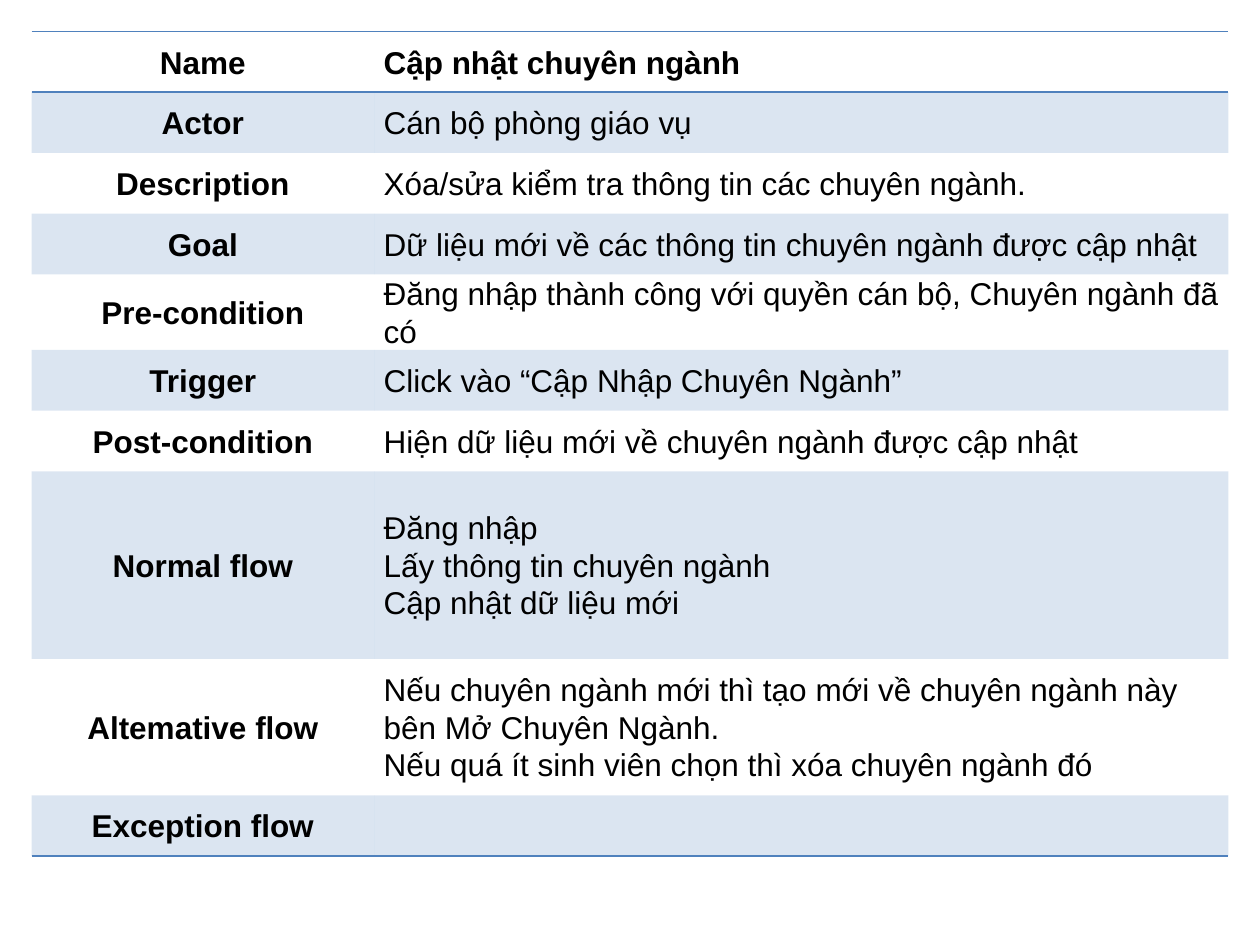
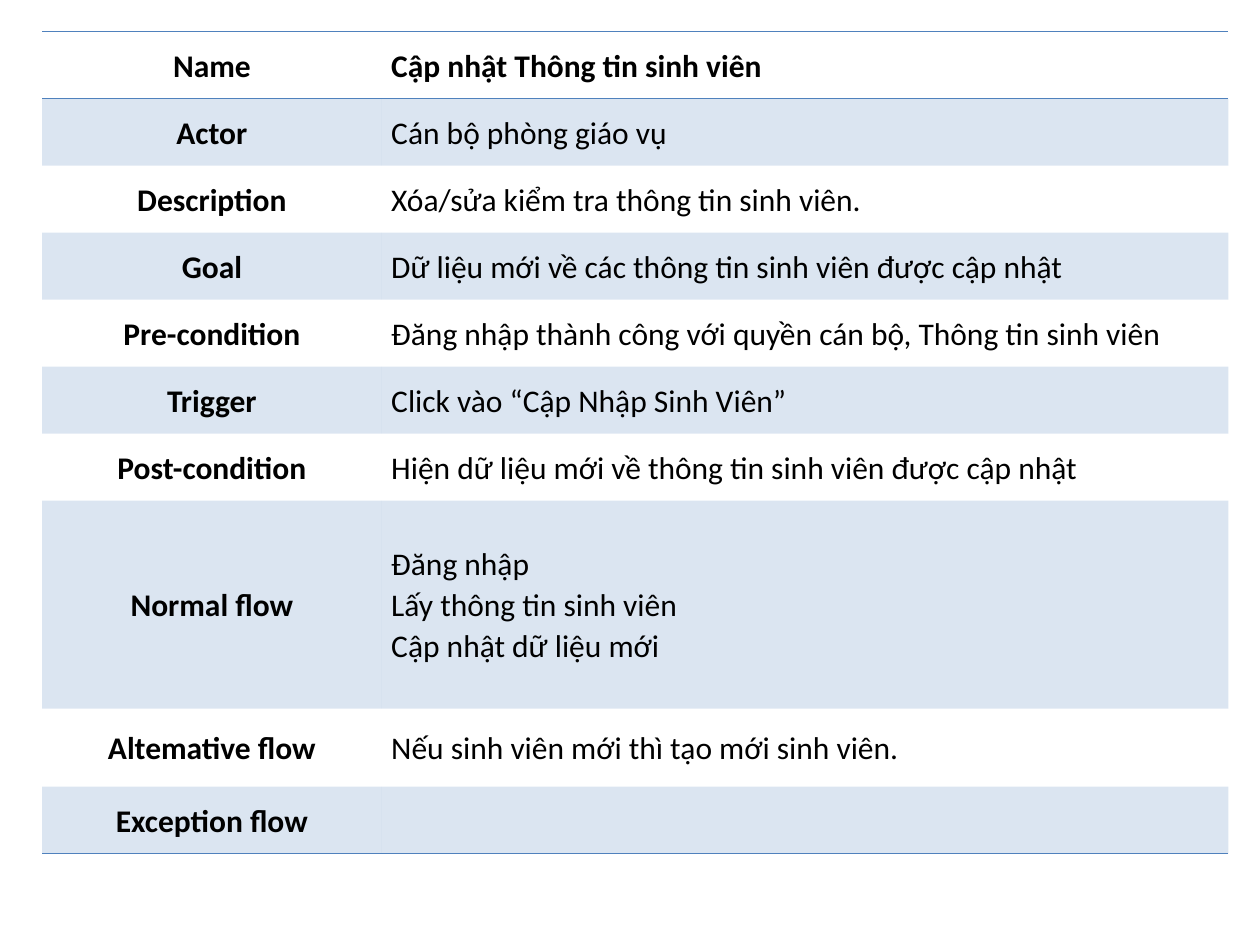
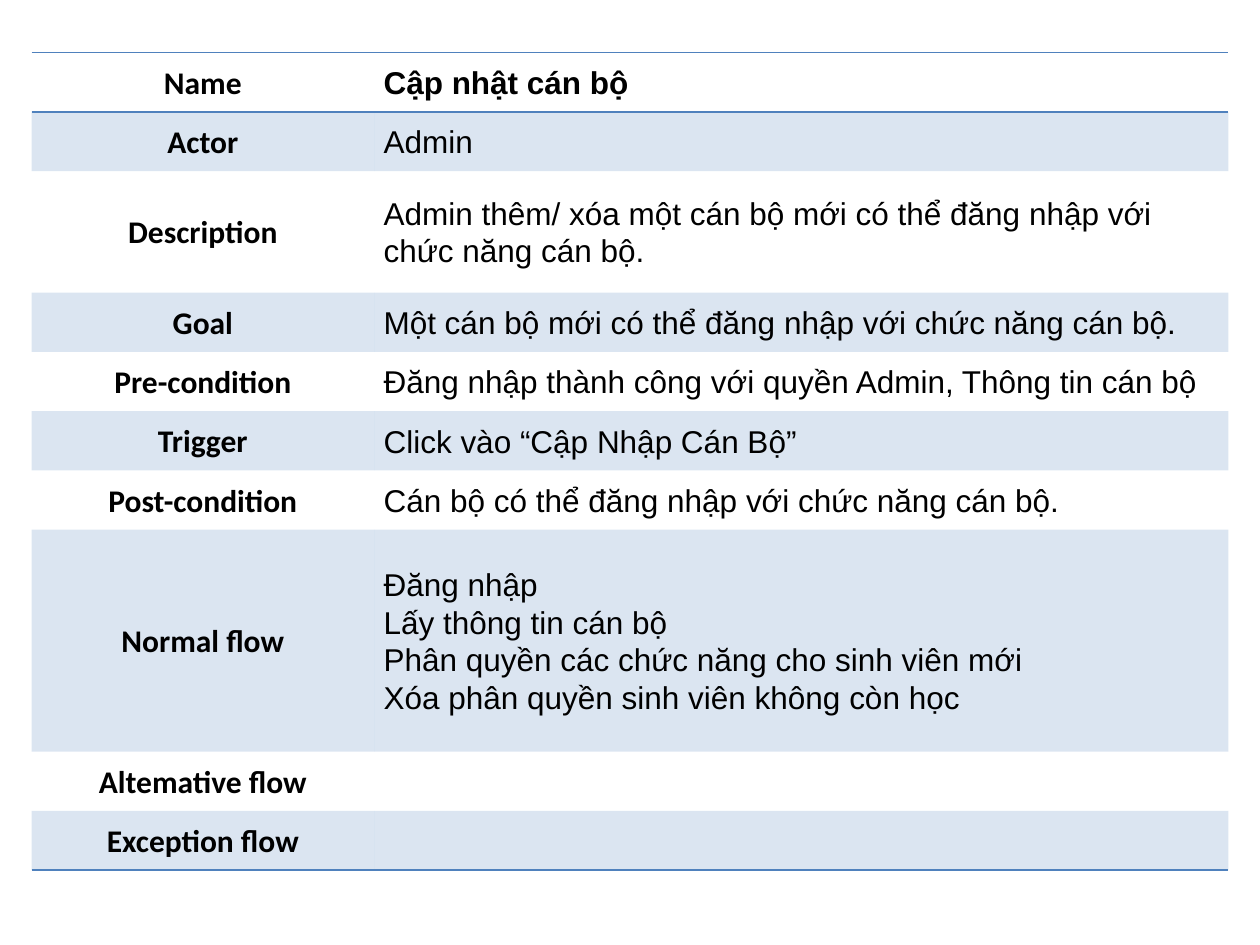
from dataclasses import dataclass, field

from lxml import etree
from pptx import Presentation
from pptx.dml.color import RGBColor
from pptx.enum import text
from pptx.oxml import ns
from pptx.slide import Slide
from pptx.table import _Cell
from pptx.util import Pt


@dataclass(frozen=True)
class Theme:
    accent: str = "4F81BD"
    ink: str = "000000"
    band_alpha: int = 20
    size: float = 18
    line_spacing: float = 1.07
    inset: float = 5.4
    border: float = 1
    plain_style: str = "{2D5ABB26-0587-4C30-8999-92F81FD0307C}"


@dataclass(frozen=True)
class UseCase:
    left: float
    top: float
    columns: tuple[float, float]
    row_height: float
    label_font: str
    value_font: str
    values: tuple[str, ...]
    tall_rows: dict[str, float] = field(default_factory=dict)


THEME = Theme()
WIDE = (195.84, 488.16)
LABELS = (
    "Name", "Actor", "Description", "Goal", "Pre-condition", "Trigger",
    "Post-condition", "Normal flow", "Altemative flow", "Exception flow",
)

USE_CASES = (
    UseCase(
        18, 18, WIDE, 34.7, "Arial", "Arial",
        (
            "Cập nhật chuyên ngành",
            "Cán bộ phòng giáo vụ",
            "Xóa/sửa kiểm tra thông tin các chuyên ngành.",
            "Dữ liệu mới về các thông tin chuyên ngành được cập nhật",
            "Đăng nhập thành công với quyền cán bộ, Chuyên ngành đã có",
            "Click vào “Cập Nhập Chuyên Ngành”",
            "Hiện dữ liệu mới về chuyên ngành được cập nhật",
            "Đăng nhập\nLấy thông tin chuyên ngành\nCập nhật dữ liệu mới",
            "Nếu chuyên ngành mới thì tạo mới về chuyên ngành này bên Mở Chuyên Ngành.\n"
            "Nếu quá ít sinh viên chọn thì xóa chuyên ngành đó",
            "",
        ),
        {"Normal flow": 107.2, "Altemative flow": 78},
    ),
    UseCase(
        24, 18, (194.2, 483.8), 38.3, "Calibri", "Calibri",
        (
            "Cập nhật Thông tin sinh viên",
            "Cán bộ phòng giáo vụ",
            "Xóa/sửa kiểm tra thông tin sinh viên.",
            "Dữ liệu mới về các thông tin sinh viên được cập nhật",
            "Đăng nhập thành công với quyền cán bộ, Thông tin sinh viên",
            "Click vào “Cập Nhập Sinh Viên”",
            "Hiện dữ liệu mới về thông tin sinh viên được cập nhật",
            "Đăng nhập\nLấy thông tin sinh viên\nCập nhật dữ liệu mới",
            "Nếu sinh viên mới thì tạo mới sinh viên.",
            "",
        ),
        {"Normal flow": 118.9, "Altemative flow": 44.6},
    ),
    UseCase(
        18, 30, WIDE, 33.9, "Calibri", "Arial",
        (
            "Cập nhật cán bộ",
            "Admin",
            "Admin thêm/ xóa một cán bộ mới có thể đăng nhập với chức năng cán bộ.",
            "Một cán bộ mới có thể đăng nhập với chức năng cán bộ.",
            "Đăng nhập thành công với quyền Admin, Thông tin cán bộ",
            "Click vào “Cập Nhập Cán Bộ”",
            "Cán bộ có thể đăng nhập với chức năng cán bộ.",
            "Đăng nhập\nLấy thông tin cán bộ\n"
            "Phân quyền các chức năng cho sinh viên mới\n"
            "Xóa phân quyền sinh viên không còn học",
            "",
            "",
        ),
        {"Description": 69.5, "Normal flow": 126.8},
    ),
)


def add_border(cell: _Cell, tag: str) -> None:
    props = cell._tc.get_or_add_tcPr()
    line = etree.SubElement(props, ns.qn(tag), w=str(Pt(THEME.border)))
    fill = etree.SubElement(line, ns.qn("a:solidFill"))
    etree.SubElement(fill, ns.qn("a:srgbClr"), val=THEME.accent)


def fill_band(cell: _Cell) -> None:
    cell.fill.solid()
    cell.fill.fore_color.rgb = RGBColor.from_string(THEME.accent)
    color = cell._tc.tcPr.find(".//" + ns.qn("a:solidFill") + "/" + ns.qn("a:srgbClr"))
    if cell._tc.tcPr.find(ns.qn("a:solidFill")) is not None:
        color = cell._tc.tcPr.find(ns.qn("a:solidFill"))[0]
    etree.SubElement(color, ns.qn("a:alpha"), val=str(THEME.band_alpha * 1000))


def write_cell(cell: _Cell, content: str, font: str, bold: bool, centred: bool) -> None:
    cell.margin_left = cell.margin_right = Pt(THEME.inset)
    cell.margin_top = cell.margin_bottom = Pt(0)
    cell.vertical_anchor = text.MSO_ANCHOR.MIDDLE
    tf = cell.text_frame
    tf.text = content
    for p in tf.paragraphs:
        p.alignment = text.PP_ALIGN.CENTER if centred else text.PP_ALIGN.LEFT
        p.line_spacing = THEME.line_spacing
        p.font.name = font
        p.font.size = Pt(THEME.size)
        p.font.bold = bold
        p.font.color.rgb = RGBColor.from_string(THEME.ink)


def add_use_case(s: Slide, case: UseCase) -> None:
    heights = [case.tall_rows.get(label, case.row_height) for label in LABELS]
    frame = s.shapes.add_table(
        len(LABELS), len(case.columns), Pt(case.left), Pt(case.top),
        Pt(sum(case.columns)), Pt(sum(heights)),
    )
    table = frame.table
    table.horz_banding = False
    table.first_row = False
    table._tbl.tblPr.find(ns.qn("a:tableStyleId")).text = THEME.plain_style
    for column, width in zip(table.columns, case.columns):
        column.width = Pt(width)

    last = len(LABELS) - 1
    for i, (label, value) in enumerate(zip(LABELS, case.values)):
        table.rows[i].height = Pt(heights[i])
        write_cell(table.cell(i, 0), label, case.label_font, True, True)
        write_cell(table.cell(i, 1), value, case.value_font, i == 0, False)
        for cell in table.rows[i].cells:
            if i == 0:
                add_border(cell, "a:lnT")
            if i in (0, last):
                add_border(cell, "a:lnB")
            if i % 2:
                fill_band(cell)
            else:
                cell.fill.background()


def main() -> None:
    prs = Presentation()
    prs.slide_width, prs.slide_height = Pt(720), Pt(540)
    blank = prs.slide_layouts[6]
    for case in USE_CASES:
        add_use_case(prs.slides.add_slide(blank), case)
    prs.save("out.pptx")


main()
